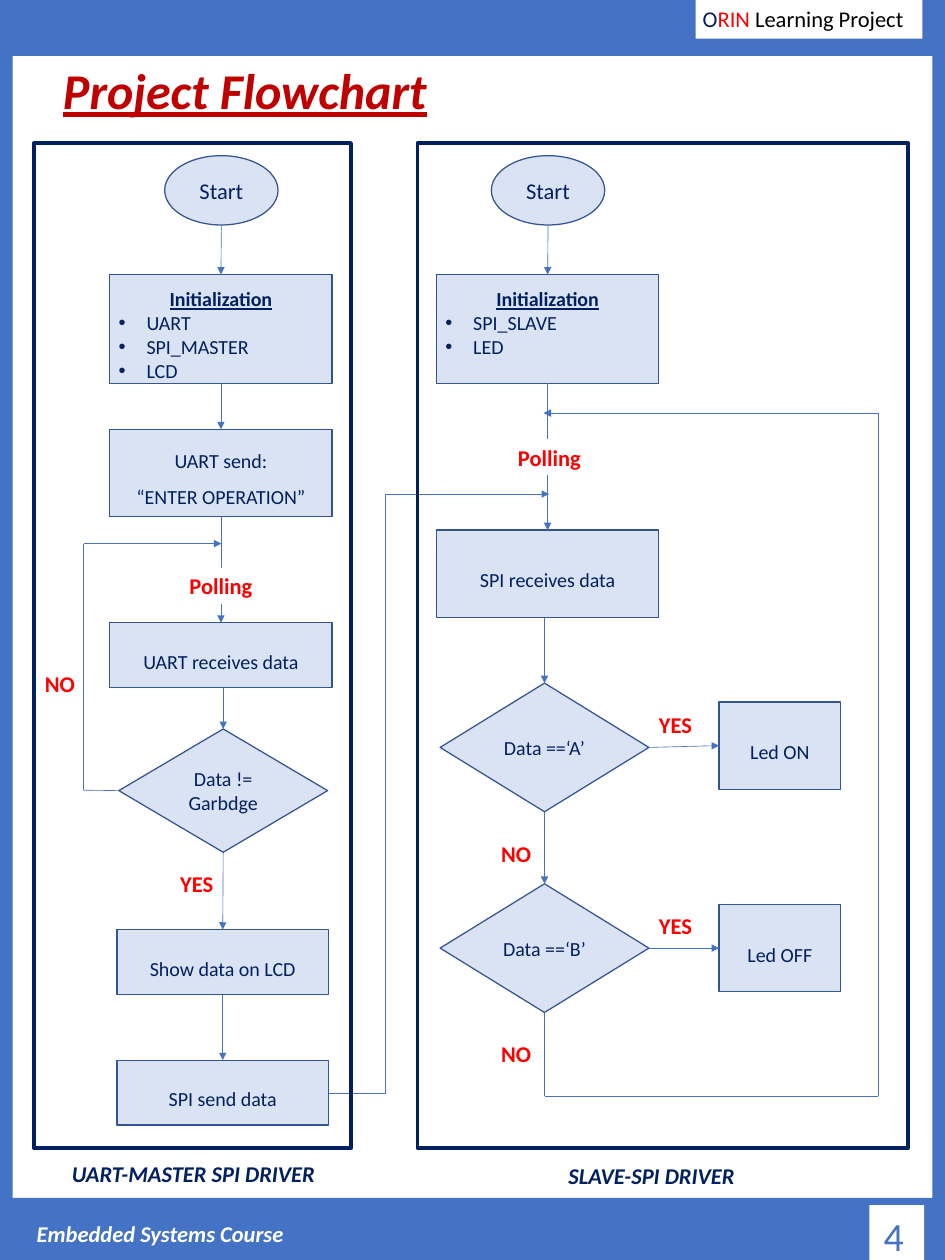
from lxml import etree
from pptx import Presentation
from pptx.dml.color import RGBColor
from pptx.enum.shapes import MSO_CONNECTOR, MSO_SHAPE
from pptx.enum.text import MSO_ANCHOR, MSO_AUTO_SIZE, PP_ALIGN
from pptx.oxml.ns import qn
from pptx.util import Inches, Pt

RECT, OVAL = MSO_SHAPE.RECTANGLE, MSO_SHAPE.OVAL
DIAMOND = MSO_SHAPE.FLOWCHART_DECISION
STRAIGHT = MSO_CONNECTOR.STRAIGHT
TOP, MIDDLE = MSO_ANCHOR.TOP, MSO_ANCHOR.MIDDLE
LEFT, CENTER = PP_ALIGN.LEFT, PP_ALIGN.CENTER
GROW = MSO_AUTO_SIZE.SHAPE_TO_FIT_TEXT
N, W, S, E = range(4)

BLUE = RGBColor(0x44, 0x72, 0xC4)
EDGE = RGBColor(0x32, 0x54, 0x91)
PALE = RGBColor(0xDA, 0xE3, 0xF3)
NAVY = RGBColor(0x00, 0x20, 0x60)
RED = RGBColor(0xFF, 0x00, 0x00)
DARK_RED = RGBColor(0xC0, 0x00, 0x00)
WHITE = RGBColor(0xFF, 0xFF, 0xFF)
BLACK = RGBColor(0x00, 0x00, 0x00)

PAGE = (0, 0, 10.5, 14)
MASTER = (0.38, 1.59, 3.52, 11.17)
SLAVE = (4.64, 1.59, 5.45, 11.17)


def place(box, at):
    """Turn an offset inside a box into slide lengths."""
    return [Inches(v) for v in (box[0] + at[0], box[1] + at[1], *at[2:])]


def style(runs, size, color, bold=False, italic=False):
    for run in runs:
        font = run.font
        font.name, font.size = "Calibri", Pt(size)
        font.bold, font.italic = bold, italic
        font.color.rgb = color


def block(slide, box, at, fill=None, line=None, width=1, kind=RECT):
    shape = slide.shapes.add_shape(kind, *place(box, at))
    shape.shadow.inherit = False
    if fill is None:
        shape.fill.background()
    else:
        shape.fill.solid()
        shape.fill.fore_color.rgb = fill
    if line is None:
        shape.line.fill.background()
    else:
        shape.line.color.rgb = line
        shape.line.width = Pt(width)
    return shape


def node(slide, box, at, text, kind=RECT, size=16):
    shape = block(slide, box, at, PALE, EDGE, kind=kind)
    frame = shape.text_frame
    frame.text = text
    frame.word_wrap = True
    frame.vertical_anchor = MIDDLE
    for para in frame.paragraphs:
        para.alignment = CENTER
        if kind == RECT:
            para.line_spacing = 1.5
        style(para.runs, size, NAVY)
    return shape


def label(slide, box, at, text, color, fill=None, align=CENTER, size=18,
          bold=True, italic=False):
    if fill is None:
        shape = slide.shapes.add_textbox(*place(box, at))
    else:
        shape = block(slide, box, at, fill)
    frame = shape.text_frame
    frame.text = text
    frame.word_wrap = True
    frame.vertical_anchor = TOP
    frame.auto_size = GROW
    para = frame.paragraphs[0]
    para.alignment = align
    style(para.runs, size, color, bold, italic)
    return para


def spot(box, end):
    """Slide point of an offset pair or of a (shape, side) pair."""
    if isinstance(end[0], (int, float)):
        return place(box, end)
    shape, side = end
    x = shape.left + shape.width * {N: 1, W: 0, S: 1, E: 2}[side] // 2
    y = shape.top + shape.height * {N: 0, W: 1, S: 2, E: 1}[side] // 2
    return x, y


def route(slide, box, *ends, arrow=True):
    """Join the ends in turn, with an arrowhead at the last."""
    for a, b in zip(ends, ends[1:]):
        line = slide.shapes.add_connector(STRAIGHT, *spot(box, a), *spot(box, b))
        for end, join in ((a, line.begin_connect), (b, line.end_connect)):
            if not isinstance(end[0], (int, float)):
                join(*end)
        line.line.color.rgb = BLUE
        line.line.width = Pt(0.5)
        if arrow and b is ends[-1]:
            etree.SubElement(line.line._get_or_add_ln(), qn("a:tailEnd"), type="triangle")
        etree.SubElement(line._element.spPr, qn("a:effectLst"))


def intro(slide, box, left, items):
    """Start oval and the list of what is initialized."""
    start = node(slide, box, (left + 0.61, 0.14, 1.26, 0.77), "Start", OVAL, 18)
    init = node(slide, box, (left, 1.46, 2.47, 1.21), "Initialization")
    frame = init.text_frame
    frame.vertical_anchor = TOP
    frame.margin_top = 0
    head = frame.paragraphs[0].runs[0].font
    head.bold = head.underline = True
    for item in items:
        para = frame.add_paragraph()
        para.alignment = LEFT
        props = para._p.get_or_add_pPr()
        props.set("marL", str(Inches(0.31)))
        props.set("indent", str(-Inches(0.31)))
        etree.SubElement(props, qn("a:buFont"), typeface="Arial")
        etree.SubElement(props, qn("a:buChar"), char="•")
        para.text = item
        style(para.runs, 16, NAVY)
    route(slide, box, (start, S), (init, N))
    return init


def master(slide, box):
    init = intro(slide, box, 0.84, ("UART", "SPI_MASTER", "LCD"))
    send = node(slide, box, (0.84, 3.18, 2.47, 0.97), "UART send:\n“ENTER OPERATION”")
    recv = node(slide, box, (0.84, 5.33, 2.47, 0.72), "UART receives data")
    check = node(slide, box, (0.94, 6.51, 2.32, 1.37), "Data != Garbdge", DIAMOND)
    show = node(slide, box, (0.92, 8.74, 2.35, 0.72), "Show data on LCD")
    last = node(slide, box, (0.92, 10.19, 2.35, 0.72), "SPI send data")
    for a, b in ((init, send), (send, recv), (check, show), (show, last)):
        route(slide, box, (a, S), (b, N))
    route(slide, box, (2.1, 6.05), (check, N))
    label(slide, box, (1.05, 4.72, 2.05, 0.4), "Polling", RED, WHITE)
    route(slide, box, (check, W), (0.55, 7.19), (0.55, 4.45), (2.08, 4.45))
    label(slide, box, (-0.02, 5.81, 0.61, 0.4), "NO", RED)
    label(slide, box, (1.5, 8.03, 0.61, 0.4), "YES", RED)


def slave(slide, box):
    init = intro(slide, box, 0.21, ("SPI_SLAVE", "LED"))
    recv = node(slide, box, (0.21, 4.3, 2.47, 0.97), "SPI receives data")
    route(slide, box, (init, S), (recv, N))
    label(slide, box, (0.44, 3.29, 2.05, 0.4), "Polling", RED, WHITE)
    source = (1.41, 5.28)
    for key, state, top, led_top in (("A", "ON", 6, 6.21), ("B", "OFF", 8.23, 8.46)):
        check = node(slide, box, (0.25, top, 2.32, 1.43), f"Data ==‘{key}’", DIAMOND)
        led = node(slide, box, (3.35, led_top, 1.35, 0.97), f"Led {state}")
        route(slide, box, source, (check, N))
        route(slide, box, (check, E), (led, W))
        label(slide, box, (2.56, top + 0.26, 0.61, 0.4), "YES", RED)
        label(slide, box, (0.79, top + 1.69, 0.61, 0.4), "NO", RED)
        source = (check, S)
    route(slide, box, source, (1.41, 10.59), (5.12, 10.59), (5.12, 3), (1.4, 3))


def border(slide, box):
    """Blue bands, course name, page number and project tag."""
    wide, high = box[2:]
    for at in ((0, 13.31, wide, 0.69), (0, 0, wide, 0.62),
               (wide - 0.14, 0.48, 0.14, 12.83), (0, 0.48, 0.14, 12.83)):
        block(slide, box, at, BLUE)
    block(slide, box, (9.66, 13.39, 0.61, high - 13.39), WHITE)
    label(slide, box, (9.72, 13.41, 0.47, 0.64), "4", BLUE, align=LEFT, size=32, bold=False)
    block(slide, box, (7.73, 0, 2.52, 0.43), WHITE)
    tag = label(slide, box, (7.71, 0.01, 2.52, 0.4), "O", NAVY, align=LEFT, bold=False)
    for text, color in (("RIN ", RED), ("Learning Project", BLACK)):
        run = tag.add_run()
        run.text = text
        style([run], 18, color)
    label(slide, box, (0.31, 13.51, 3.43, 0.4), "Embedded Systems Course", WHITE,
          align=LEFT, italic=True)


def heading(slide, box):
    title = slide.shapes.title
    title.left, title.top, title.width, title.height = place(box, (-0.71, 0.61, 6.86, 0.77))
    frame = title.text_frame
    frame.text = "Project Flowchart"
    frame.word_wrap = True
    frame.vertical_anchor = TOP
    frame.auto_size = GROW
    para = frame.paragraphs[0]
    para.alignment = CENTER
    style(para.runs, 40, DARK_RED, True, True)
    para.runs[0].font.underline = True


def main():
    deck = Presentation()
    deck.slide_width, deck.slide_height = Inches(PAGE[2]), Inches(PAGE[3])
    slide = deck.slides.add_slide(deck.slide_layouts[5])
    heading(slide, PAGE)
    border(slide, PAGE)
    master(slide, MASTER)
    slave(slide, SLAVE)
    route(slide, PAGE, (3.65, 12.15), (4.28, 12.15), (4.28, 5.49), (6.1, 5.49))
    for box, at, text in ((MASTER, (0.27, 11.25, 3, 0.4), "UART-MASTER SPI DRIVER"),
                          (SLAVE, (0.57, 11.27, 4.06, 0.4), "SLAVE-SPI DRIVER")):
        label(slide, box, at, text, NAVY, WHITE, italic=True)
        block(slide, box, (0, 0, *box[2:]), line=NAVY, width=3)
    deck.save("out.pptx")


if __name__ == "__main__":
    main()
